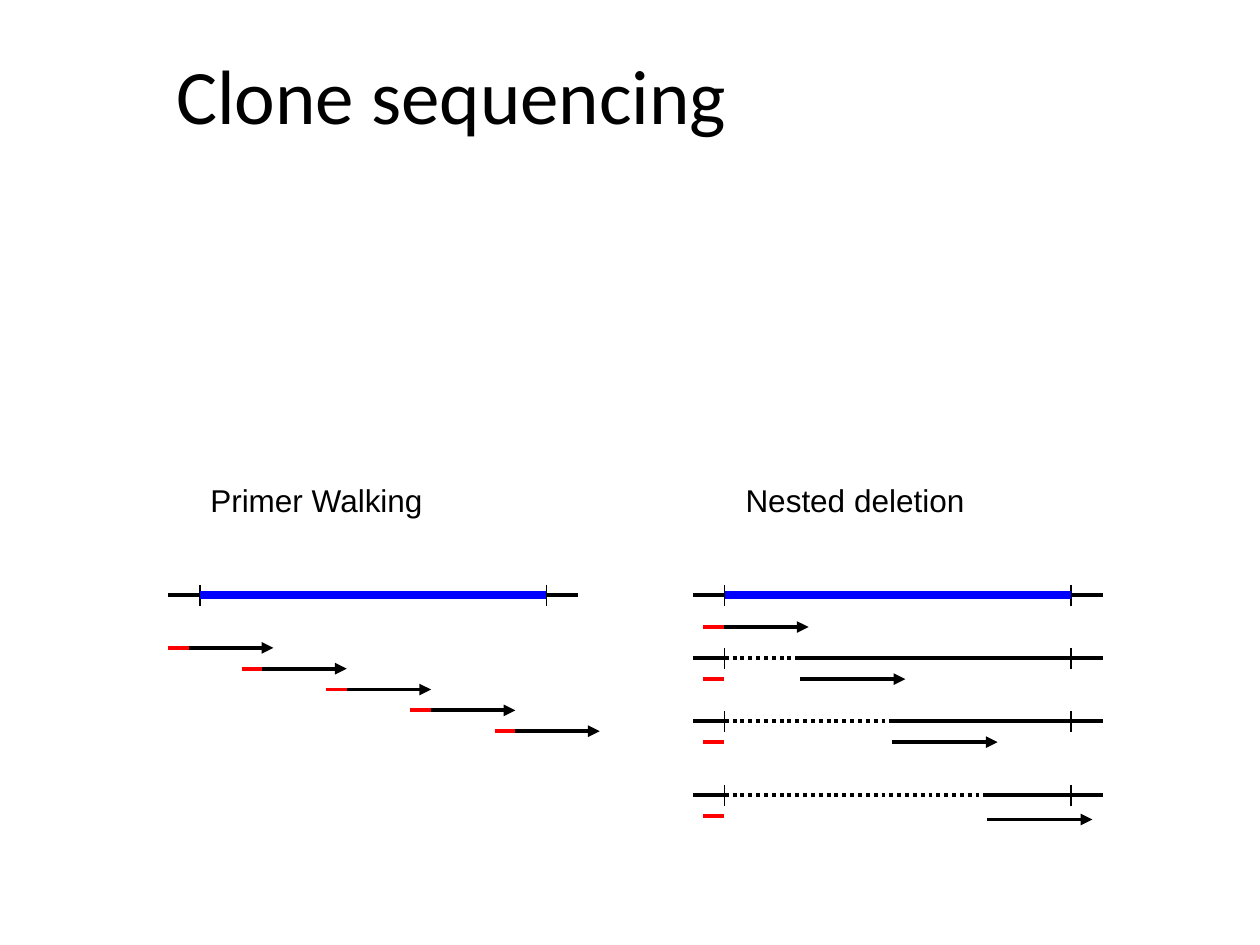
from lxml import etree
from pptx import Presentation
from pptx.dml.color import RGBColor
from pptx.enum.dml import MSO_LINE
from pptx.enum.shapes import MSO_CONNECTOR
from pptx.oxml.ns import qn
from pptx.util import Cm, Pt

STRAIGHT = MSO_CONNECTOR.STRAIGHT
DOTTED = MSO_LINE.ROUND_DOT
COLORS = {"text": "000000", "vector": "000000", "insert": "0000FF", "primer": "FF0000"}

VECTOR_WIDTH = 8.26
INSERT_START = 0.64
INSERT_END = 7.62
TICK_HALF = 0.21
READ_LENGTH = 2.12
PRIMER_LENGTH = 0.42
ROW_GAP = 0.42


def add_line(page, start, end, color="vector", weight=2.25, dash=None, arrow=False):
    """Draw a straight line between two points given in centimetres."""
    line = page.shapes.add_connector(STRAIGHT, *(Cm(value) for value in start + end))
    line.line.color.rgb = RGBColor.from_string(COLORS[color])
    line.line.width = Pt(weight)
    if dash:
        line.line.dash_style = dash
    if arrow:
        outline = line.line._get_or_add_ln()
        etree.SubElement(outline, qn("a:tailEnd"), type="triangle")
    etree.SubElement(line._element.spPr, qn("a:effectLst"))


def add_level(page, left, right, y, **style):
    """Draw a horizontal line at height y."""
    add_line(page, (left, y), (right, y), **style)


def add_label(page, box, text, font, size):
    """Write one line of text in the box (left, top, width, height)."""
    label = page.shapes.add_textbox(*(Cm(value) for value in box))
    label.text_frame.word_wrap = False
    para = label.text_frame.paragraphs[0]
    para.text = text
    para.font.name = font
    para.font.size = Pt(size)
    para.font.color.rgb = RGBColor.from_string(COLORS["text"])


def add_ticks(page, left, y):
    """Mark both ends of the insert."""
    for x in (left + INSERT_START, left + INSERT_END):
        add_line(page, (x, y - TICK_HALF), (x, y + TICK_HALF), weight=0.75)


def add_clone(page, left, y):
    """Draw the whole vector with its insert."""
    add_level(page, left, left + VECTOR_WIDTH, y)
    add_ticks(page, left, y)
    add_level(page, left + INSERT_START, left + INSERT_END, y, color="insert", weight=4.5)


def add_read(page, left, y):
    """Draw a sequencing read as an arrow."""
    add_level(page, left, left + READ_LENGTH, y, arrow=True)


def add_primer(page, left, y):
    """Draw a primer."""
    add_level(page, left, left + PRIMER_LENGTH, y, color="primer")


def add_primed_read(page, left, y):
    """Draw a read that starts with its primer."""
    add_read(page, left, y)
    add_primer(page, left, y)


def add_primer_walking(page, left, top):
    """Draw the clone and the staircase of overlapping reads."""
    add_label(page, (left + 0.6, top - 2.42, 6.25, 1.27), "Primer Walking", "Arial", 18)
    add_clone(page, left, top)
    starts = [0] + [1.48 + 1.7 * step for step in range(4)]
    for row, start in enumerate(starts):
        add_primed_read(page, left + start, top + 1.06 + ROW_GAP * row)


def add_deletion(page, left, y, kept_from, gap_to, read_from, read_drop):
    """Draw one shortened clone with its deleted stretch, primer and read."""
    add_level(page, left + kept_from, left + VECTOR_WIDTH, y)
    add_ticks(page, left, y)
    add_level(page, left, left + INSERT_START, y)
    add_level(page, left + INSERT_START, left + gap_to, y, dash=DOTTED)
    add_primer(page, left + TICK_HALF, y + ROW_GAP)
    add_read(page, left + read_from, y + read_drop)


def add_nested_deletion(page, left, top):
    """Draw the clone and its progressively deleted versions."""
    add_label(page, (left + 0.81, top - 2.42, 6.4, 1.27), "Nested deletion", "Arial", 18)
    add_clone(page, left, top)
    add_primed_read(page, left + TICK_HALF, top + 0.64)
    deletions = [
        (1.27, 2.12, 2.97, 2.16, ROW_GAP),
        (2.54, 4.02, 4.02, 4.02, ROW_GAP),
        (4.03, 5.93, 6.78, 5.93, 0.49),
    ]
    for drop, *extents in deletions:
        add_deletion(page, left, top + drop, *extents)


def main():
    """Build the slide and save it."""
    deck = Presentation()
    deck.slide_width, deck.slide_height = Cm(25.4), Cm(19.05)
    page = deck.slides.add_slide(deck.slide_layouts[6])
    add_label(page, (3.3, 0.84, 11.71, 2.13), "Clone sequencing", "Calibri", 44)
    add_primer_walking(page, 3.39, 12)
    add_nested_deletion(page, 13.97, 12)
    deck.save("out.pptx")


if __name__ == "__main__":
    main()
